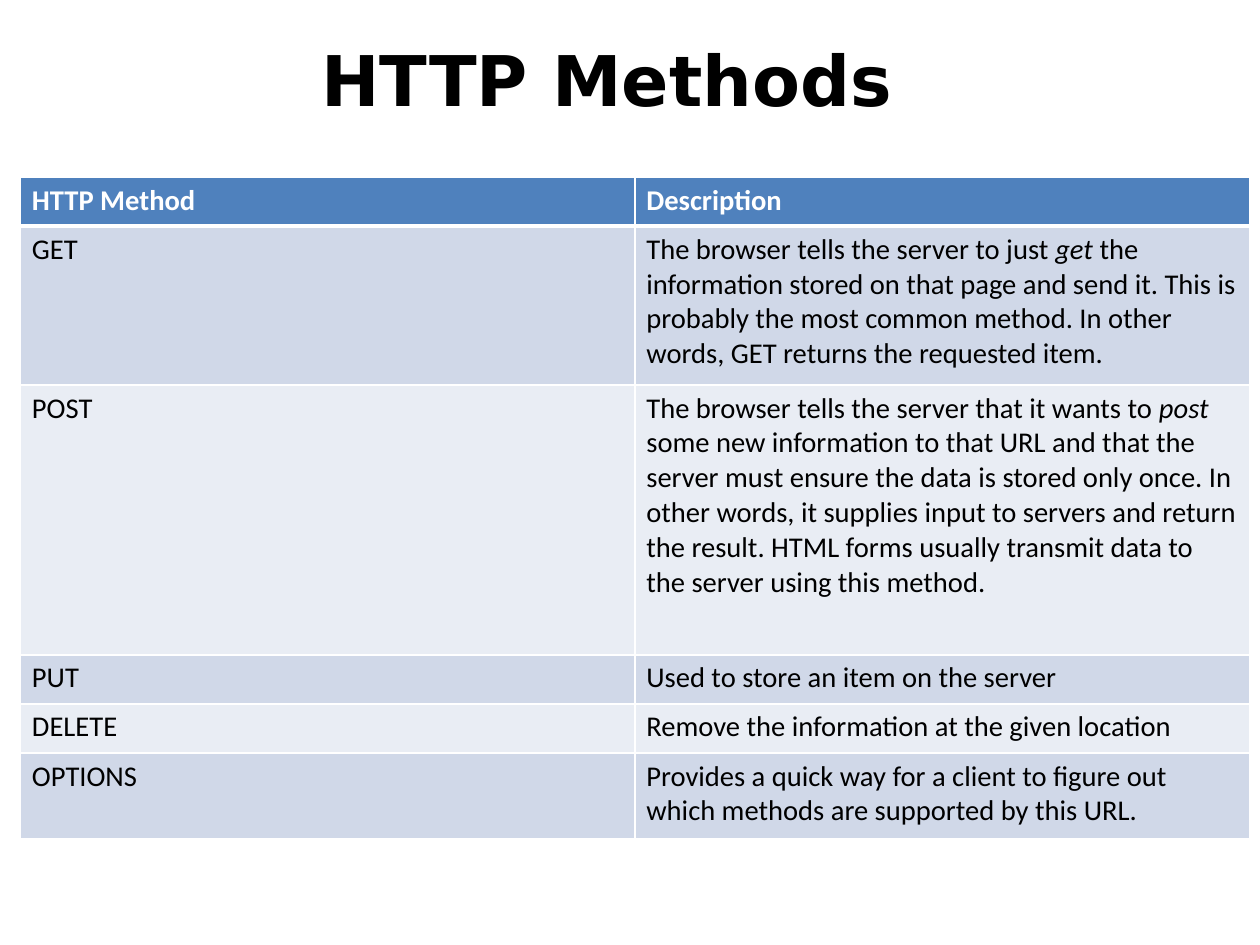
from dataclasses import dataclass

from lxml import etree
from pptx import Presentation
from pptx.dml.color import RGBColor
from pptx.enum.text import MSO_ANCHOR, PP_ALIGN
from pptx.oxml.ns import qn
from pptx.slide import Slide
from pptx.table import _Cell
from pptx.util import Inches, Pt

CENTER = PP_ALIGN.CENTER
MIDDLE = MSO_ANCHOR.MIDDLE
BLANK_LAYOUT = 6
CM_PER_INCH = 2.54


@dataclass(frozen=True)
class Theme:
    title_font: str = "DejaVu Sans"
    body_font: str = "Calibri"
    title_size: int = 44
    body_size: int = 18
    ink: str = "000000"
    white: str = "FFFFFF"
    header: str = "4F81BD"
    bands: tuple[str, str] = ("D0D8E8", "E9EDF4")
    border: float = 1
    header_border: float = 3


@dataclass(frozen=True)
class Method:
    name: str
    description: str  # asterisks enclose italic words
    height: float


THEME = Theme()
TABLE_WIDTH = 10.75
ROWS = [
    Method("HTTP Method", "Description", 0.43),
    Method("GET", "The browser tells the server to just *get* the information stored on "
           "that page and send it. This is probably the most common method. In other "
           "words, GET returns the requested item.", 1.39),
    Method("POST", "The browser tells the server that it wants to *post* some new "
           "information to that URL and that the server must ensure the data is stored "
           "only once. In other words, it supplies input to servers and return the "
           "result. HTML forms usually transmit data to the server using this method.",
           2.36),
    Method("PUT", "Used to store an item on the server", 0.43),
    Method("DELETE", "Remove the information at the given location", 0.43),
    Method("OPTIONS", "Provides a quick way for a client to figure out which methods are "
           "supported by this URL.", 0.75),
]


def set_borders(cell: _Cell, bottom: float) -> None:
    """Draw white cell borders; widths are in points."""
    properties = cell._tc.get_or_add_tcPr()
    widths = {"a:lnL": THEME.border, "a:lnR": THEME.border,
              "a:lnT": THEME.border, "a:lnB": bottom}
    for position, (tag, width) in enumerate(widths.items()):
        line = etree.Element(qn(tag), w=str(Pt(width)))
        fill = etree.SubElement(line, qn("a:solidFill"))
        etree.SubElement(fill, qn("a:srgbClr"), val=THEME.white)
        properties.insert(position, line)


def fill_cell(cell: _Cell, text: str, row: int) -> None:
    is_header = row == 0
    cell.fill.solid()
    cell.fill.fore_color.rgb = RGBColor.from_string(
        THEME.header if is_header else THEME.bands[(row - 1) % 2])
    set_borders(cell, THEME.header_border if is_header else THEME.border)

    paragraph = cell.text_frame.paragraphs[0]
    for index, part in enumerate(text.split("*")):
        run = paragraph.add_run()
        run.text = part
        run.font.name = THEME.body_font
        run.font.size = Pt(THEME.body_size)
        run.font.bold = is_header
        run.font.italic = index % 2 == 1
        run.font.color.rgb = RGBColor.from_string(THEME.white if is_header else THEME.ink)


def add_title(slide: Slide, text: str) -> None:
    box = slide.shapes.add_textbox(Inches(0.35), 0, Inches(9.92), Inches(1.38))
    frame = box.text_frame
    frame.word_wrap = True
    frame.vertical_anchor = MIDDLE
    frame.margin_left = frame.margin_right = frame.margin_top = frame.margin_bottom = 0
    paragraph = frame.paragraphs[0]
    paragraph.text = text
    paragraph.alignment = CENTER
    paragraph.font.name = THEME.title_font
    paragraph.font.size = Pt(THEME.title_size)
    paragraph.font.bold = True
    paragraph.font.color.rgb = RGBColor.from_string(THEME.ink)


def add_methods_table(slide: Slide, methods: list[Method]) -> None:
    height = sum(method.height for method in methods)
    table = slide.shapes.add_table(
        len(methods), 2, Inches(0.18), Inches(1.55),
        Inches(TABLE_WIDTH), Inches(height)).table
    for row, method in enumerate(methods):
        table.rows[row].height = Inches(method.height)
        for column, text in enumerate((method.name, method.description)):
            fill_cell(table.cell(row, column), text, row)


def main() -> None:
    # Page of 28 by 21 centimetres
    presentation = Presentation()
    presentation.slide_width = Inches(28 / CM_PER_INCH)
    presentation.slide_height = Inches(21 / CM_PER_INCH)
    slide = presentation.slides.add_slide(presentation.slide_layouts[BLANK_LAYOUT])

    # Heading above the table of methods
    add_title(slide, "HTTP Methods")
    add_methods_table(slide, ROWS)

    presentation.save("out.pptx")


if __name__ == "__main__":
    main()
